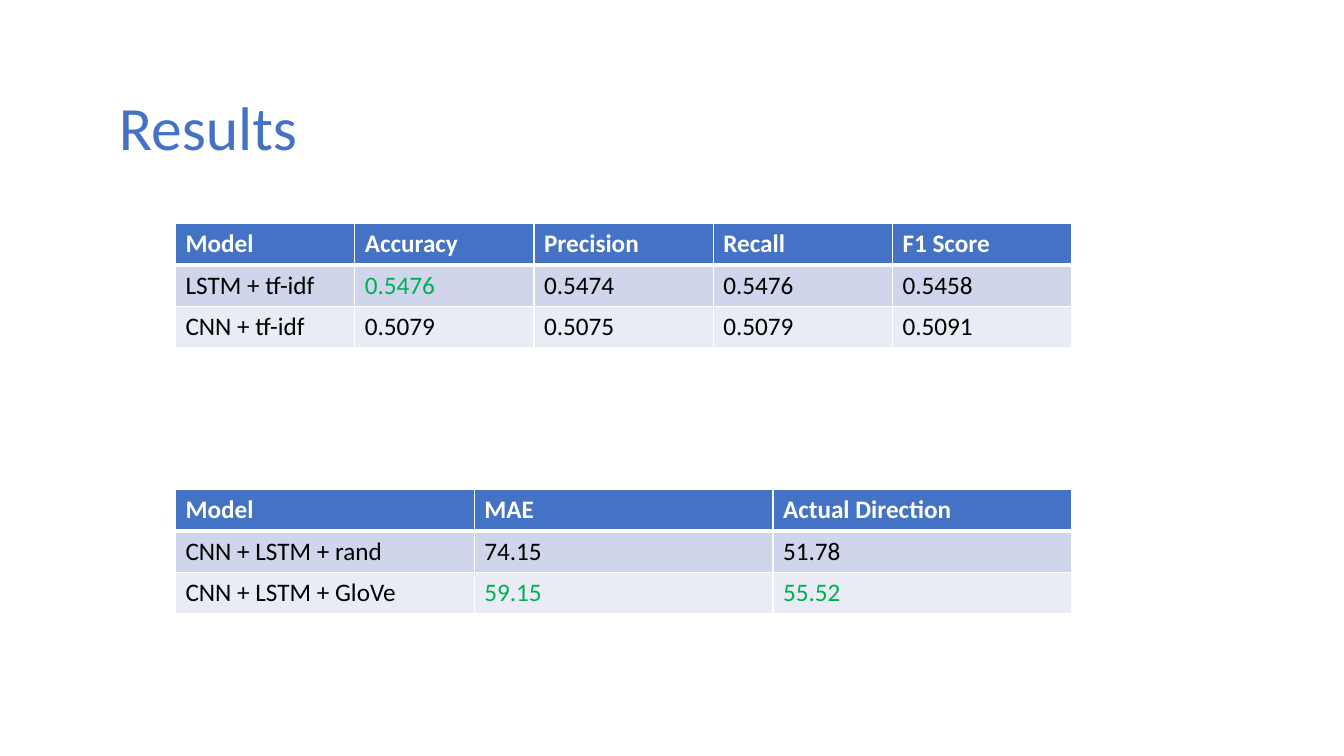
from lxml.etree import SubElement
from pptx import Presentation
from pptx.dml.color import RGBColor
from pptx.enum.text import MSO_ANCHOR
from pptx.oxml.ns import qn
from pptx.util import Inches, Pt

FONT = "Calibri"
BLUE = "4472C4"
WHITE = "FFFFFF"
BLACK = "000000"
GREEN = "00B050"
ROW_FILLS = [BLUE, "CFD5EA", "E9EBF5"]
ROW_HEIGHT = 0.41
TABLE_LEFT, TABLE_WIDTH = 1.74, 8.89

CLASSIFICATION_ROWS = [
    ["Model", "Accuracy", "Precision", "Recall", "F1 Score"],
    ["LSTM + tf-idf", "0.5476", "0.5474", "0.5476", "0.5458"],
    ["CNN + tf-idf", "0.5079", "0.5075", "0.5079", "0.5091"],
]
DIRECTION_ROWS = [
    ["Model", "MAE", "Actual Direction"],
    ["CNN + LSTM + rand", "74.15", "51.78"],
    ["CNN + LSTM + GloVe", "59.15", "55.52"],
]


def color(hex_string):
    return RGBColor.from_string(hex_string)


def format_text(paragraph, size, hex_string, bold=False):
    for run in paragraph.runs:
        run.font.name = FONT
        run.font.size = Pt(size)
        run.font.bold = bold
        run.font.color.rgb = color(hex_string)


def add_border(cell, side, width):
    properties = cell._tc.get_or_add_tcPr()
    line = SubElement(properties, qn(f"a:ln{side}"), w=str(Pt(width)))
    fill = SubElement(line, qn("a:solidFill"))
    SubElement(fill, qn("a:srgbClr"), val=WHITE)


def add_title(slide, left, top, width, height, text):
    box = slide.shapes.add_textbox(
        Inches(left), Inches(top), Inches(width), Inches(height)
    )
    frame = box.text_frame
    frame.word_wrap = True
    frame.vertical_anchor = MSO_ANCHOR.MIDDLE
    frame.text = text
    paragraph = frame.paragraphs[0]
    paragraph.line_spacing = 0.9
    format_text(paragraph, 44, BLUE)


def add_results_table(slide, left, top, width, rows, best_cells):
    column_count = len(rows[0])
    table = slide.shapes.add_table(
        len(rows), column_count, Inches(left), Inches(top),
        Inches(width), Inches(ROW_HEIGHT * len(rows)),
    ).table
    for column in table.columns:
        column.width = Inches(width / column_count)
    for row_index, values in enumerate(rows):
        is_header = row_index == 0
        for column_index, value in enumerate(values):
            cell = table.cell(row_index, column_index)
            for side in "LRTB":
                heavy = (row_index, side) in [(0, "B"), (1, "T")]
                add_border(cell, side, 3 if heavy else 1)
            cell.fill.solid()
            cell.fill.fore_color.rgb = color(ROW_FILLS[row_index])
            cell.text_frame.text = value
            if is_header:
                text_color = WHITE
            else:
                text_color = GREEN if (row_index, column_index) in best_cells else BLACK
            format_text(cell.text_frame.paragraphs[0], 18, text_color, is_header)


def main():
    presentation = Presentation()
    presentation.slide_width = Inches(13.33)
    presentation.slide_height = Inches(7.5)
    slide = presentation.slides.add_slide(presentation.slide_layouts[6])
    add_title(slide, 1.08, 0.57, 11.5, 1.45, "Results")
    add_results_table(
        slide, TABLE_LEFT, 4.86, TABLE_WIDTH, DIRECTION_ROWS, {(2, 1), (2, 2)}
    )
    add_results_table(
        slide, TABLE_LEFT, 2.22, TABLE_WIDTH, CLASSIFICATION_ROWS, {(1, 1)}
    )
    presentation.save("out.pptx")


if __name__ == "__main__":
    main()
